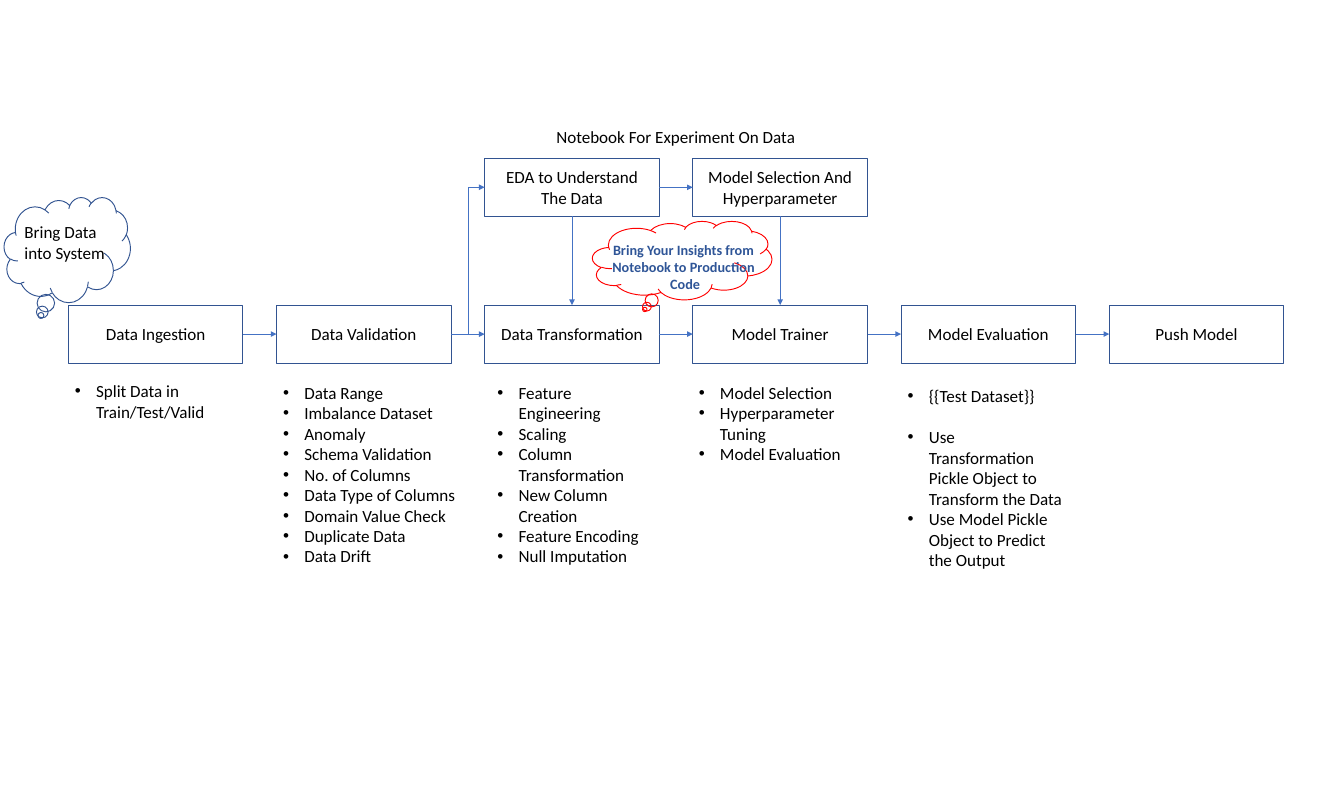
from lxml import etree
from pptx import Presentation
from pptx import util as u
from pptx.dml.color import RGBColor
from pptx.enum import shapes, text
from pptx.oxml import ns

BOX_BLUE = RGBColor(0x32, 0x54, 0x91)
ARROW_BLUE = RGBColor(0x44, 0x72, 0xC4)
INSIGHT_BLUE = RGBColor(0x2F, 0x55, 0x97)
RED = RGBColor(0xFF, 0, 0)
BLACK = RGBColor(0, 0, 0)

FONT = "Calibri"
LEFT, PITCH = 1, 3.05
BOX_WIDTH, BOX_HEIGHT = 2.56, 0.85
PIPELINE_TOP, NOTEBOOK_TOP = 4.47, 2.32
INDENT = 0.31
TOP_SITE, LEFT_SITE, BOTTOM_SITE, RIGHT_SITE = range(4)

STAGES = ["Data Ingestion", "Data Validation", "Data Transformation",
          "Model Trainer", "Model Evaluation", "Push Model"]

# Left, top, width, height and items of the list under each stage
STAGE_TASKS = [
    (1, 5.53, 2.56, 0.71, ["Split Data in Train/Test/Valid"]),
    (4.05, 5.55, 2.8, 2.83,
     ["Data Range", "Imbalance Dataset", "Anomaly", "Schema Validation",
      "No. of Columns", "Data Type of Columns", "Domain Value Check",
      "Duplicate Data", "Data Drift"]),
    (7.19, 5.55, 2.47, 2.83,
     ["Feature Engineering", "Scaling", "Column Transformation",
      "New Column Creation", "Feature Encoding", "Null Imputation"]),
    (10.14, 5.55, 2.47, 1.92,
     ["Model Selection", "Hyperparameter Tuning", "Model Evaluation"]),
    (13.2, 5.6, 2.47, 3.13,
     ["{{Test Dataset}}",
      "Use Transformation Pickle Object to Transform the Data",
      "Use Model Pickle Object to Predict the Output"]),
]


def inches(*lengths):
    """Turn plain numbers into lengths."""
    return [u.Inches(length) for length in lengths]


def write(frame, lines, align=text.PP_ALIGN.CENTER, size=18, color=BLACK,
          bold=False):
    """Write one paragraph per line and return the paragraphs."""
    frame.word_wrap = True
    for number, line in enumerate(lines):
        paragraph = frame.add_paragraph() if number else frame.paragraphs[0]
        paragraph.alignment = align
        run = paragraph.add_run()
        run.text = line
        run.font.name = FONT
        run.font.size = u.Pt(size)
        run.font.bold = bold
        run.font.color.rgb = color
    return frame.paragraphs


def add_outline(slide, preset, left, top, width, height, color):
    """Add an unfilled preset shape with a thin outline."""
    outline = slide.shapes.add_shape(preset, *inches(left, top, width, height))
    outline.shadow.inherit = False
    outline.fill.background()
    outline.line.color.rgb = color
    outline.line.width = u.Pt(1)
    return outline


def add_stage(slide, column, top, label):
    """Add a labelled box in a column of the flow."""
    stage = add_outline(slide, shapes.MSO_SHAPE.RECTANGLE,
                        LEFT + PITCH * column, top, BOX_WIDTH, BOX_HEIGHT,
                        BOX_BLUE)
    stage.text_frame.vertical_anchor = text.MSO_ANCHOR.MIDDLE
    write(stage.text_frame, [label])
    return stage


def add_arrow(slide, source, target, source_site=RIGHT_SITE,
              target_site=LEFT_SITE, kind=shapes.MSO_CONNECTOR.STRAIGHT):
    """Join two boxes with an arrow glued to both."""
    arrow = slide.shapes.add_connector(kind, 0, 0, 0, 0)
    arrow.begin_connect(source, source_site)
    arrow.end_connect(target, target_site)
    arrow.line.color.rgb = ARROW_BLUE
    arrow.line.width = u.Pt(0.5)
    etree.SubElement(arrow.line._get_or_add_ln(), ns.qn("a:tailEnd"),
                     type="triangle")
    etree.SubElement(arrow._element.spPr, ns.qn("a:effectLst"))


def add_note(slide, left, top, width, height, lines, **style):
    """Add a text box and return its paragraphs."""
    note = slide.shapes.add_textbox(*inches(left, top, width, height))
    return write(note.text_frame, lines, **style)


def add_tasks(slide, left, top, width, height, tasks):
    """Add a bulleted list and return its paragraphs."""
    paragraphs = add_note(slide, left, top, width, height, tasks,
                          align=text.PP_ALIGN.LEFT)
    for paragraph in paragraphs:
        properties = paragraph._p.get_or_add_pPr()
        properties.set("marL", str(u.Inches(INDENT)))
        properties.set("indent", str(-u.Inches(INDENT)))
        etree.SubElement(properties, ns.qn("a:buFont"), typeface="Arial")
        etree.SubElement(properties, ns.qn("a:buChar"), char="•")
    return paragraphs


def add_heading(slide, heading):
    """Place the title over the notebook boxes."""
    title = slide.shapes.title
    title.left, title.top, title.width, title.height = inches(
        7.83, 1.81, 4.14, 0.4)
    title.text_frame.auto_size = text.MSO_AUTO_SIZE.NONE
    write(title.text_frame, [heading])


def main():
    """Build the machine learning pipeline slide."""
    deck = Presentation()
    deck.slide_width, deck.slide_height = inches(19.69, 11.81)
    slide = deck.slides.add_slide(deck.slide_layouts.get_by_name("Title Only"))
    add_heading(slide, "Notebook For Experiment On Data")

    pipeline = [add_stage(slide, column, PIPELINE_TOP, label)
                for column, label in enumerate(STAGES)]
    for source, target in zip(pipeline, pipeline[1:]):
        add_arrow(slide, source, target)

    validation, transformation, trainer = pipeline[1:4]
    eda = add_stage(slide, 2, NOTEBOOK_TOP, "EDA to Understand The Data")
    selection = add_stage(slide, 3, NOTEBOOK_TOP,
                          "Model Selection And Hyperparameter")
    add_arrow(slide, validation, eda, kind=shapes.MSO_CONNECTOR.ELBOW)
    add_arrow(slide, eda, selection)
    add_arrow(slide, eda, transformation, BOTTOM_SITE, TOP_SITE)
    add_arrow(slide, selection, trainer, BOTTOM_SITE, TOP_SITE)

    cloud = shapes.MSO_SHAPE.CLOUD_CALLOUT
    add_outline(slide, cloud, 0.06, 2.89, 1.85, 1.54, BOX_BLUE)
    add_note(slide, 0.26, 3.2, 1.53, 0.71, ["Bring Data into System"],
             align=text.PP_ALIGN.LEFT)
    add_outline(slide, cloud, 8.68, 3.24, 2.63, 1.15, RED)
    add_note(slide, 8.63, 3.49, 2.77, 0.86,
             ["Bring Your Insights from Notebook to Production", " Code"],
             size=15, color=INSIGHT_BLUE, bold=True)

    task_lists = [add_tasks(slide, *tasks) for tasks in STAGE_TASKS]
    evaluation_tasks = task_lists[-1]
    evaluation_tasks[1].space_before = u.Pt(22)

    deck.save("out.pptx")


main()
